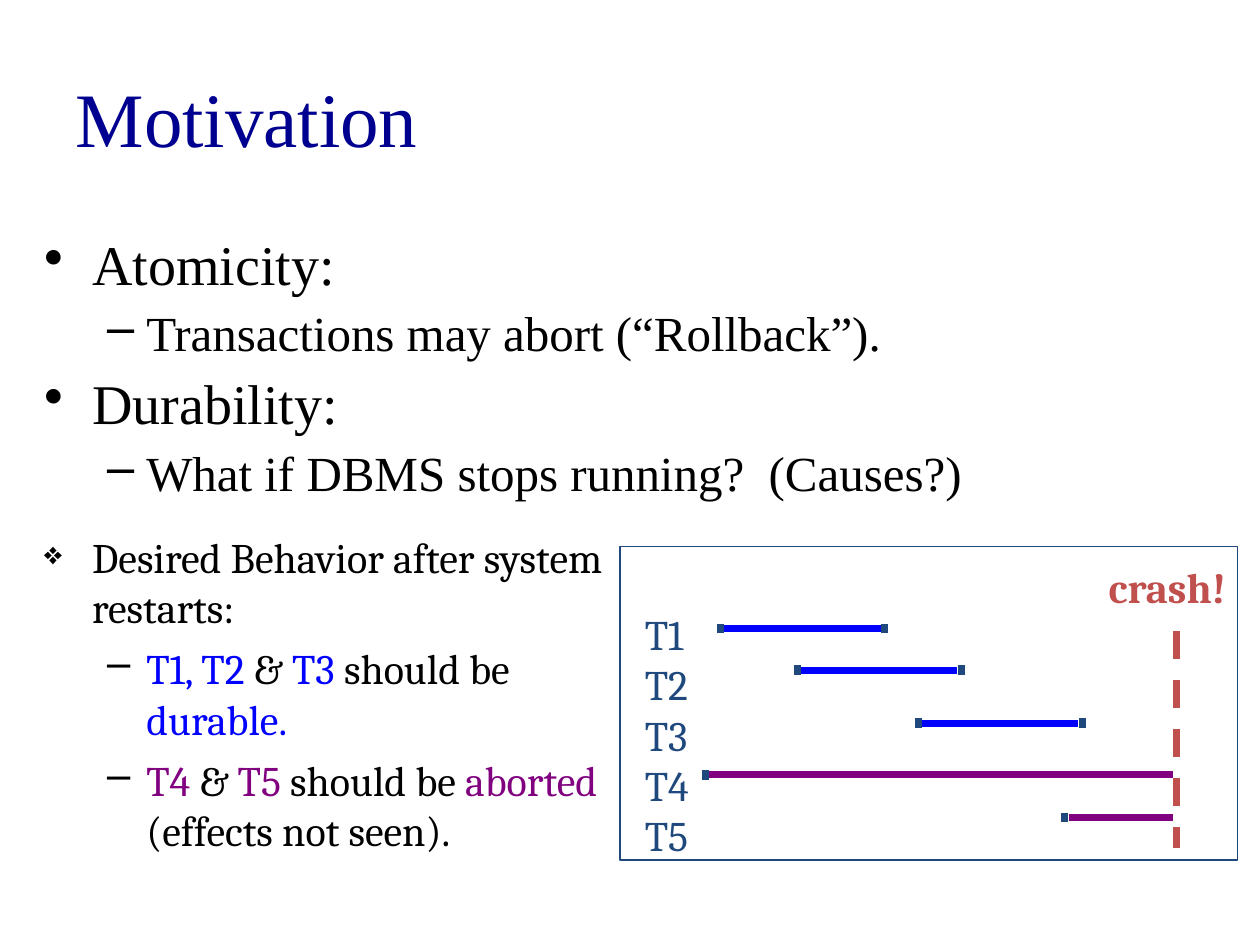
from lxml.etree import SubElement
from pptx import Presentation
from pptx.dml.color import RGBColor
from pptx.enum.dml import MSO_LINE
from pptx.enum.shapes import MSO_CONNECTOR, MSO_SHAPE
from pptx.enum.text import MSO_ANCHOR, MSO_AUTO_SIZE, PP_ALIGN
from pptx.oxml.ns import qn
from pptx.util import Cm, Pt

THEME = {
    "title": {"name": "Times New Roman", "size": Pt(44), "color": "000090"},
    "topic": {"name": "Times New Roman", "size": Pt(32), "color": "000000"},
    "detail": {"name": "Times New Roman", "size": Pt(28), "color": "000000"},
    "goal": {"name": "Cambria", "size": Pt(24), "color": "000000"},
    "label": {"name": "Cambria", "size": Pt(24), "color": "1F497D"},
    "crash": {"name": "Cambria", "size": Pt(24), "color": "C0504D", "bold": True},
    "durable": "0000FF",
    "aborted": "800080",
    "bar": Pt(4),
    "frame": Pt(1),
}
TITLE = "Motivation"
PROPERTIES = [
    ("topic", 0, "•", 8, [("Atomicity:", None)]),
    ("detail", 1, "–", 7, [("Transactions may abort (“Rollback”).", None)]),
    ("topic", 0, "•", 8, [("Durability:", None)]),
    ("detail", 1, "–", 7, [("What if DBMS stops running?  (Causes?)", None)]),
]
GOALS = [
    ("goal", 0, "❖", 6, [("Desired Behavior after system restarts:", None)]),
    ("goal", 1, "–", 6, [("T1, T2 ", "durable"), ("& ", None), ("T3", "durable"),
                         (" should be ", None), ("durable.", "durable")]),
    ("goal", 1, "–", 6, [("T4", "aborted"), (" & ", None), ("T5 ", "aborted"),
                         ("should be ", None), ("aborted", "aborted"),
                         (" (effects not seen).", None)]),
]
CRASH_NOTE = [("crash", 0, None, 0, [("crash!", None)])]
CRASH_END = 23.65
TRANSACTIONS = [
    ("T1", 14.6, 17.75, 12.67, "durable"),
    ("T2", 16.15, 19.3, 13.51, "durable"),
    ("T3", 18.59, 21.74, 14.58, "durable"),
    ("T4", 14.3, CRASH_END, 15.62, "aborted"),
    ("T5", 21.54, CRASH_END, 16.48, "aborted"),
]
INDENTS = [(0.97, -0.97), (2.06, -0.79)]
BULLET_SIZES = {"❖": "75000"}
TICK_GAP, TICK_HALF = 0.08, 0.1
CRASH_LINE = (23.72, 12.73, 23.72, 17.09)


def add_span(para, text, style, color=None):
    span = para.add_run()
    span.text = text
    for key, value in style.items():
        if key != "color":
            setattr(span.font, key, value)
    span.font.color.rgb = RGBColor.from_string(color or style["color"])


def add_bullet(para, bullet, level):
    properties = para._p.get_or_add_pPr()
    margin, indent = INDENTS[level]
    properties.set("marL", str(Cm(margin)))
    properties.set("indent", str(Cm(indent)))
    color = SubElement(properties, qn("a:buClr"))
    SubElement(color, qn("a:srgbClr"), val="000000")
    if bullet in BULLET_SIZES:
        SubElement(properties, qn("a:buSzPct"), val=BULLET_SIZES[bullet])
    SubElement(properties, qn("a:buChar"), char=bullet)


def add_text(page, place, paragraphs, wrap=True, spacing=1.0):
    frame = page.shapes.add_textbox(*map(Cm, place)).text_frame
    frame.word_wrap = wrap
    frame.auto_size = MSO_AUTO_SIZE.NONE if wrap else MSO_AUTO_SIZE.SHAPE_TO_FIT_TEXT
    for index, (style, level, bullet, before, spans) in enumerate(paragraphs):
        para = frame.add_paragraph() if index else frame.paragraphs[0]
        para.level = level
        para.line_spacing = spacing
        para.space_before = Pt(before if index else 0)
        if bullet:
            add_bullet(para, bullet, level)
        for text, color in spans:
            add_span(para, text, THEME[style], THEME.get(color))


def add_line(page, ends, color, dash=None):
    line = page.shapes.add_connector(MSO_CONNECTOR.STRAIGHT, *map(Cm, ends))
    line.line.color.rgb = RGBColor.from_string(color)
    line.line.width = THEME["bar"]
    if dash:
        line.line.dash_style = dash
    SubElement(line._element.spPr, qn("a:effectLst"))


def add_title(page):
    title = page.shapes.title
    place = {"left": 1.27, "top": 0.76, "width": 22.86, "height": 3.18}
    for key, value in place.items():
        setattr(title, key, Cm(value))
    title.text_frame.vertical_anchor = MSO_ANCHOR.MIDDLE
    para = title.text_frame.paragraphs[0]
    para.alignment = PP_ALIGN.LEFT
    add_span(para, TITLE, THEME["title"])


def add_timeline(page):
    label_color = THEME["label"]["color"]
    labels = [("label", 0, None, 0, [(name, None)]) for name, *_ in TRANSACTIONS]
    add_text(page, (12.75, 12.14, 1.45, 5.33), labels, wrap=False)
    for _, start, end, y, outcome in TRANSACTIONS:
        add_line(page, (start, y, end, y), THEME[outcome])
    add_line(page, CRASH_LINE, THEME["crash"]["color"], MSO_LINE.DASH)
    for _, start, end, y, _ in TRANSACTIONS:
        ticks = [start - TICK_GAP]
        if end < CRASH_END:
            ticks.append(end + TICK_GAP)
        for x in ticks:
            add_line(page, (x, y - TICK_HALF, x, y + TICK_HALF), label_color)
    border = page.shapes.add_shape(MSO_SHAPE.RECTANGLE, *map(Cm, (12.5, 11.02, 12.45, 6.32)))
    border.shadow.inherit = False
    border.fill.background()
    border.line.color.rgb = RGBColor.from_string(label_color)
    border.line.width = THEME["frame"]


def main():
    deck = Presentation()
    deck.slide_width, deck.slide_height = Cm(25.4), Cm(19.05)
    page = deck.slides.add_slide(deck.slide_layouts[5])
    add_title(page)
    add_text(page, (0.64, 4.65, 19.05, 5.72), PROPERTIES, spacing=0.9)
    add_text(page, (22.1, 11.2, 3.05, 1.27), CRASH_NOTE, wrap=False)
    add_text(page, (0.64, 10.59, 12.5, 7.42), GOALS)
    add_timeline(page)
    deck.save("out.pptx")


if __name__ == "__main__":
    main()
